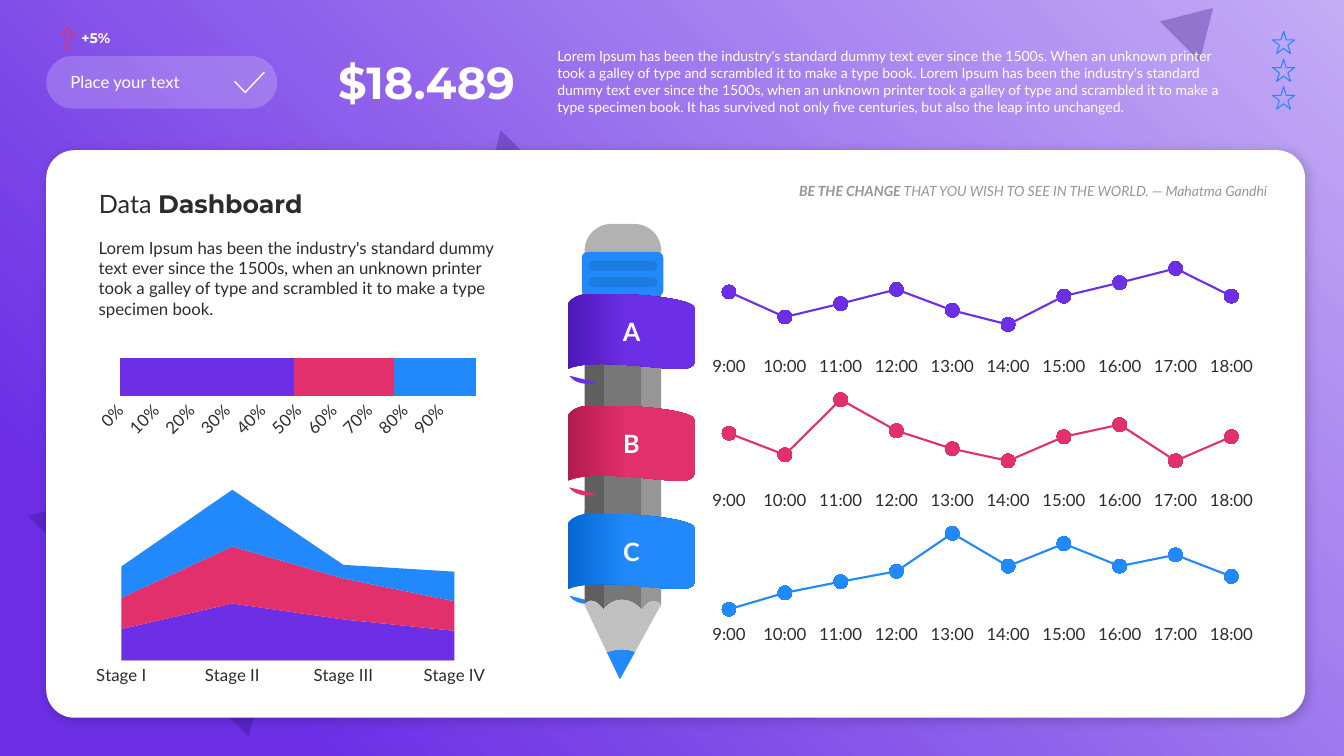
"""Build a data dashboard slide with a pencil, ribbons and charts."""
from lxml import etree
from pptx import Presentation, util as u
from pptx.chart.data import CategoryChartData
from pptx.dml.color import RGBColor
from pptx.enum import chart as ch, shapes as sh, text as tx
from pptx.oxml.ns import qn

HUE = {"violet": "6C2FE5", "pink": "E1306C", "blue": "2189FB", "white": "FFFFFF",
       "ink": "2C2C2C", "black": "000000", "night": "330F7B", "lilac": "C4ACF5",
       "wine": "771134", "navy": "03448B", "plum": "4D17B8", "rose": "B31A4E",
       "sea": "0466D1", "rule": "DFDFDF", "mid": "777777", "light": "969696",
       "dark": "5F5F5F", "wood": "C0C0C0", "rubber": "B2B2B2"}
TRIO = ["violet", "pink", "blue"]
KIND = sh.MSO_SHAPE
SIDE = tx.PP_ALIGN
POS = tx.MSO_ANCHOR
LOREM = "Lorem Ipsum has been the industry's standard dummy text ever since the 1500s"
GALLEY = "an unknown printer took a galley of type and scrambled it to make a type"
BODY = f"{LOREM}, when {GALLEY} specimen book."
INTRO = (f"{LOREM}. When {GALLEY} book. {BODY} It has survived not only five "
         "centuries, but also the leap into unchanged.")
TITLE = [("Data ", "Lato", False), ("Dashboard", "Montserrat", True)]
QUOTE = [("BE THE CHANGE ", "Lato", True),
         ("THAT YOU WISH TO SEE IN THE WORLD. ― Mahatma Gandhi", "Lato", False)]
STAGES = ["Stage I", "Stage II", "Stage III", "Stage IV"]
AREAS = [(55, 100, 72, 52), (55, 100, 72, 52), (55, 100, 24, 52)]
SHARES = [(49,), (28,), (23,)]
HOURS = [f"{h}:00" for h in range(9, 19)]
TRENDS = [("violet", 180, 0.13, (72, 42, 58, 75, 50, 33, 67, 83, 100, 67)),
          ("pink", 275.5, 0.11, (61, 36, 100, 64, 43, 29, 57, 71, 29, 57)),
          ("blue", 371, 0.11, (12, 31, 44, 56, 100, 62, 88, 62, 75, 50))]
RIBBONS = [("C", "blue", "sea", "navy", 367.4), ("B", "pink", "rose", "wine", 290),
           ("A", "violet", "plum", "night", 210.2)]
BAND = [(91.4, 10.8), (92.2, 2.9, 48.2, -1.4, 12.2, 0), (6.5, 0.7, 0, 4.3, 0, 7.9),
        (0, 53.6), (15.8, 45, 65.5, 53.6, 80.6, 53.6),
        (86.4, 53.6, 91.4, 51.1, 91.4, 47.2)]
POINT = [
    ("blue", [(453.6, 465.8), (442.8, 485.3), (433.4, 465.8),
              (434.2, 465.8, 444.2, 461.5, 453.6, 465.8)]),
    ("light", [(458.6, 435.6), (457.9, 434.9), (457.9, 365), (472.3, 365), (472.3, 432),
               (472.3, 432, 465.1, 424.1, 458.6, 435.6)]),
    ("mid", [(444.2, 428.4), (437, 428.4, 432.7, 433.4, 431.3, 434.9), (431.3, 365),
             (457.9, 365), (457.9, 434.9), (456.5, 433.4, 451.4, 428.4, 444.2, 428.4)]),
    ("dark", [(431.3, 435.6), (431.3, 435.6, 427, 429.1, 422.6, 429.1),
              (419.8, 429.1, 418.3, 430.6, 417.6, 431.3), (417.6, 365), (431.3, 365)]),
    ("wood", [(422.6, 429.1), (427, 429.1, 431.3, 435.6, 431.3, 435.6),
              (432.7, 433.4, 437, 428.4, 444.2, 428.4),
              (451.4, 428.4, 456.5, 433.4, 457.9, 434.9), (458.6, 435.6),
              (465.1, 424.1, 472.3, 432, 472.3, 432), (469.4, 437), (453.6, 465.8),
              (444.2, 461.5, 434.2, 465.8, 433.4, 465.8), (419.8, 437), (417.6, 432.7),
              (417.6, 431.3), (418.3, 430.6, 419.8, 429.1, 422.6, 429.1)])]
BARREL = [("light", 457.9, 208, 14.4, 164, 100, None), ("mid", 431.3, 208, 26.6, 164, 100, None),
          ("dark", 417.6, 208, 13.7, 164, 100, None), ("black", 417.6, 205, 54.7, 10, 20, None),
          ("rubber", 417.6, 160, 54.7, 38, 100, 0.5), ("blue", 415.6, 180, 58.2, 31.6, 100, 0.13),
          ("black", 420.5, 186.4, 49, 7, 10, 0.5), ("black", 420.5, 198, 49, 7, 10, 0.5)]
WEDGES = [(52.6, 289.4, 223.2, 185, False), (329, 108, 64.8, 54, True),
          (834.5, 0.7, 40.3, 33.8, False)]


def rgb(name):
    return RGBColor.from_string(HUE[name])


def pts(*nums):
    return [u.Pt(n) for n in nums]


def sub(node, tag, **attrs):
    return etree.SubElement(node, qn(tag), {k: str(v) for k, v in attrs.items()})


def paint(shape, name, alpha=100):
    shape.shadow.inherit = False
    shape.line.fill.background()
    shape.fill.solid()
    shape.fill.fore_color.rgb = rgb(name)
    if alpha < 100:
        tone = next(shape._element.spPr.iter(qn("a:srgbClr")))
        sub(tone, "a:alpha", val=alpha * 1000)
    return shape


def blend(shape, first, last, angle=0):
    shape.fill.gradient()
    shape.fill.gradient_angle = angle
    for stop, (name, at) in zip(shape.fill.gradient_stops, (first, last)):
        stop.color.rgb, stop.position = rgb(name), at


def draw(kind, box, name, alpha=100, adj=()):
    shape = slide.shapes.add_shape(kind, *pts(*box))
    for i, val in enumerate(adj):
        shape.adjustments[i] = val
    return paint(shape, name, alpha)


def outline(shape, name, width):
    shape.shadow.inherit = False
    shape.fill.background()
    shape.line.color.rgb, shape.line.width = rgb(name), u.Pt(width)


def trace(steps, left=0, top=0, close=True):
    dots = []
    for step in steps:
        if len(step) == 2:
            dots.append(step)
            continue
        hull = [dots[-1], step[:2], step[2:4], step[4:]]
        for t in (n / 12 for n in range(1, 13)):
            mix = ((1 - t) ** 3, 3 * t * (1 - t) ** 2, 3 * t * t * (1 - t), t ** 3)
            dots.append(tuple(sum(m * p[k] for m, p in zip(mix, hull)) for k in (0, 1)))
    grid = [((x + left) * 100, (y + top) * 100) for x, y in dots]
    pen = slide.shapes.build_freeform(*grid[0], scale=127)
    pen.add_line_segments(grid[1:], close=close)
    return pen.convert_to_shape()


def write(shape, runs, size, name, align=SIDE.LEFT, anchor=POS.MIDDLE, pad=7.2, italic=False):
    frame = shape.text_frame
    frame.word_wrap, frame.vertical_anchor = True, anchor
    frame.margin_left = frame.margin_right = u.Pt(pad)
    frame.margin_top = frame.margin_bottom = u.Pt(3.6)
    para = frame.paragraphs[0]
    para.alignment = align
    para.font.size, para.font.color.rgb, para.font.italic = u.Pt(size), rgb(name), italic
    for words, face, bold in runs:
        run = para.add_run()
        run.text, run.font.name, run.font.bold = words, face, bold


def label(box, runs, *args, **opts):
    write(slide.shapes.add_textbox(*pts(*box)), runs, *args, **opts)


def plot(kind, box, cats, rows, area, top):
    data = CategoryChartData()
    data.categories = cats
    for i, row in enumerate(rows, 1):
        data.add_series(f"Series {i}", row)
    chart = slide.shapes.add_chart(kind, *pts(*box), data).chart
    chart.has_legend = chart.has_title = False
    chart.font.name, chart.font.size, chart.font.color.rgb = "Lato", u.Pt(12), rgb("ink")
    for axis in (chart.category_axis, chart.value_axis):
        axis.major_tick_mark = axis.minor_tick_mark = ch.XL_TICK_MARK.NONE
        axis.has_major_gridlines = False
        axis.format.line.fill.background()
    chart.value_axis.minimum_scale, chart.value_axis.maximum_scale = 0, top
    zone = chart._chartSpace.chart.plotArea
    for old in zone.findall(qn("c:layout")):
        zone.remove(old)
    place = etree.Element(qn("c:layout"))
    zone.insert(0, place)
    hand = sub(place, "c:manualLayout")
    sub(hand, "c:layoutTarget", val="inner")
    for tag in ("xMode", "yMode"):
        sub(hand, f"c:{tag}", val="edge")
    for tag, val in zip("xywh", area):
        sub(hand, f"c:{tag}", val=round(val, 3))
    for ser, name in zip(chart.plots[0].series, TRIO):
        if kind != ch.XL_CHART_TYPE.LINE_MARKERS:
            ser.format.fill.solid()
            ser.format.fill.fore_color.rgb = rgb(name)
    return chart


deck = Presentation()
deck.slide_width, deck.slide_height = pts(960, 540)
slide = deck.slides.add_slide(deck.slide_layouts[5])

back = draw(KIND.RECTANGLE, (0, 0, 960, 540), "violet")
blend(back, ("lilac", 0), ("violet", 0.85))
grad = back._element.spPr.find(qn("a:gradFill"))
grad.remove(grad.find(qn("a:lin")))
sub(sub(grad, "a:path", path="circle"), "a:fillToRect", l=100000, b=100000)
for *box, flip in WEDGES:
    wedge = draw(KIND.ISOSCELES_TRIANGLE, box, "night", 30)
    wedge.rotation = 45
    if flip:
        wedge._element.spPr.xfrm.set("flipV", "1")

draw(KIND.ROUNDED_RECTANGLE, (33, 40, 165, 37.6), "white", 20, [0.5])
outline(trace([(167.5, 58.2), (175.2, 66), (188.8, 51.6)], close=False), "white", 1)
label((43.2, 47.5, 135.4, 21.8), [("Place your text", "Lato", False)], 12, "white")
label((229.7, 35.3, 145.4, 46), [("$18.489", "Montserrat", True)], 32, "white", SIDE.RIGHT)
label((391, 30.5, 502.6, 55.4), [(INTRO, "Lato", False)], 10, "white")
label((53.3, 17.3, 30.2, 19.4), [("+5%", "Montserrat", True)], 10, "white",
      SIDE.CENTER, POS.TOP, 0)
outline(draw(KIND.UP_ARROW, (43.6, 19.2, 9.2, 15.8), "pink", adj=[0.36, 0.6]), "pink", 0.75)
for i in range(3):
    outline(draw(KIND.STAR_5_POINT, (908.9, 22.4 + 19.8 * i, 16, 16), "blue"), "blue", 0.75)

panel = draw(KIND.ROUNDED_RECTANGLE, (33, 107.3, 899.3, 405.4), "white", adj=[0.05])
glow = sub(panel._element.spPr.find(qn("a:effectLst")), "a:outerShdw", blurRad=u.Pt(8),
           dist=u.Pt(3), dir=45 * 60000, algn="tl", rotWithShape=0)
sub(sub(glow, "a:srgbClr", val=HUE["black"]), "a:alpha", val=20000)

title = slide.shapes.title
slide.shapes._spTree.append(title._element)
title.left, title.top, title.width, title.height = pts(63.4, 131, 311.8, 28.8)
write(title, TITLE, 18, "ink", anchor=POS.BOTTOM)
label((63.4, 166.3, 311.8, 65.5), [(BODY, "Lato", False)], 12, "ink", anchor=POS.TOP)
label((403.2, 126.7, 504.7, 19.4), QUOTE, 10, "light", SIDE.RIGHT, pad=2.9, italic=True)

stack = plot(ch.XL_CHART_TYPE.AREA_STACKED, (63.4, 334, 290.2, 158.4), STAGES, AREAS,
             (0.08, 0.1, 0.82, 0.77), 300)
stack.value_axis.visible = False
stack.category_axis.format.line.color.rgb = rgb("rule")
stack.category_axis.format.line.width = u.Pt(0.75)

share = plot(ch.XL_CHART_TYPE.BAR_STACKED_100, (62.6, 254.2, 288.7, 64), ["1"], SHARES,
             (0.08, 0.02, 0.88, 0.43), 1)
share.plots[0].gap_width, share.plots[0].overlap = 0, 100
share.category_axis.visible = False
scale = share.value_axis
scale.major_unit = 0.1
scale.tick_labels.number_format, scale.tick_labels.number_format_is_linked = "0%", False
scale.tick_labels.font.size = u.Pt(12)
scale._element.find(qn("c:txPr")).find(qn("a:bodyPr")).set("rot", "-2700000")

for mark, hue, shade, deep, top in RIBBONS:
    fold = draw(KIND.CHORD, (405.4, top + 44, 28, 20), hue, adj=[32.77, 97.2])
    blend(fold, (hue, 0.27), (deep, 0.69), 70)
    if mark == "C":
        for name, steps in POINT:
            paint(trace(steps), name)
        for name, *box, alpha, bend in BARREL:
            kind = KIND.ROUNDED_RECTANGLE if bend else KIND.RECTANGLE
            draw(kind, box, name, alpha, [bend] if bend else [])
    band = paint(trace(BAND, 405.4, top), hue)
    blend(band, (shade, 0), (hue, 0.47))
    write(band, [(mark, "Lato", True)], 18, "white", SIDE.CENTER)

for name, top, head, vals in TRENDS:
    trend = plot(ch.XL_CHART_TYPE.LINE_MARKERS, (492.5, top, 415.4, 90.7), HOURS, [vals],
                 (0.02, head, 0.96, 0.79 - head), 100)
    trend.value_axis.visible = False
    ser = trend.plots[0].series[0]
    ser.smooth = False
    ser.format.line.color.rgb, ser.format.line.width = rgb(name), u.Pt(1.5)
    ser.marker.style, ser.marker.size = ch.XL_MARKER_STYLE.CIRCLE, 10
    ser.marker.format.fill.solid()
    ser.marker.format.fill.fore_color.rgb = ser.marker.format.line.color.rgb = rgb(name)

deck.save("out.pptx")
